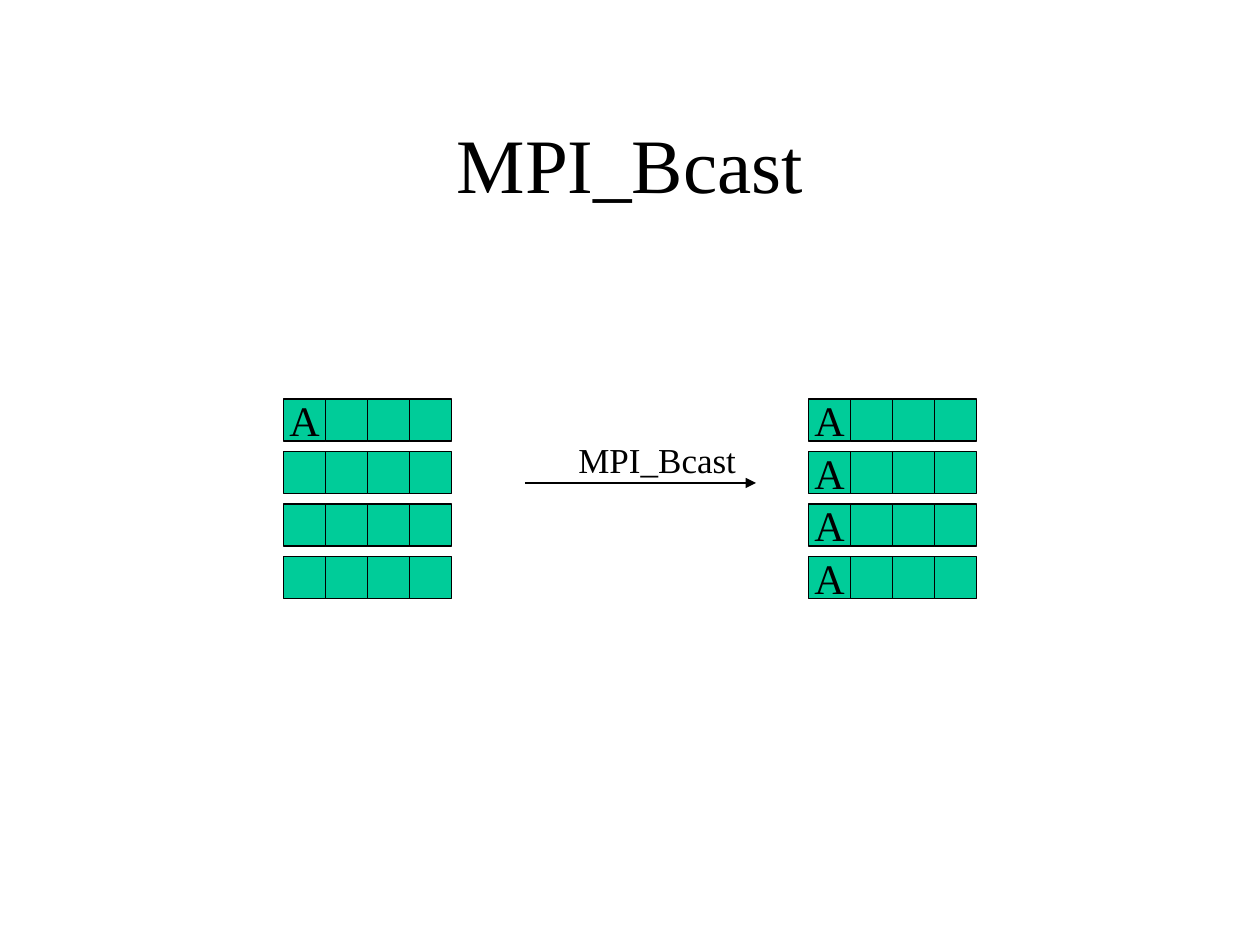
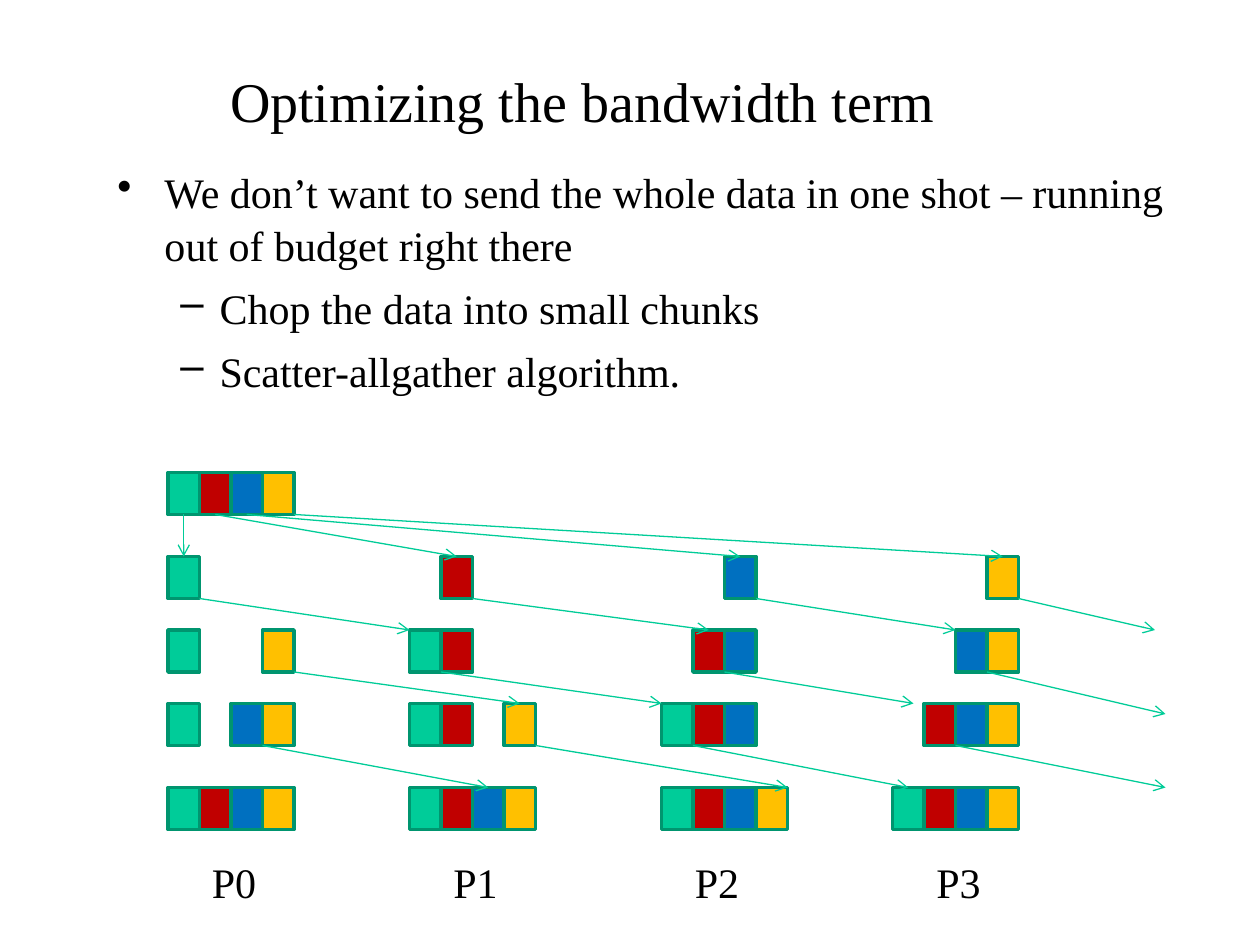
from lxml.etree import SubElement
from pptx import Presentation
from pptx.dml.color import RGBColor
from pptx.enum.shapes import MSO_CONNECTOR as Connector, MSO_SHAPE as Shape
from pptx.enum.text import MSO_ANCHOR as Anchor, PP_ALIGN as Align
from pptx.oxml.ns import qn
from pptx.util import Cm, Pt

FONT = "Times New Roman"
BLACK = RGBColor(0x00, 0x00, 0x00)
GREEN = RGBColor(0x00, 0xCC, 0x99)
RED = RGBColor(0xC0, 0x00, 0x00)
BLUE = RGBColor(0x00, 0x70, 0xC0)
YELLOW = RGBColor(0xFF, 0xC0, 0x00)
CHUNK_BORDER = RGBColor(0x00, 0x95, 0x6F)
ARROW_GREEN = RGBColor(0x00, 0xCC, 0x98)

# All places below count grid steps; twelve steps make 2.54 cm.
BUFFERS = [
    (27, ["A", "", "", ""]),
    (77, ["A", "A", "A", "A"]),
]
BUFFER_TOP, BUFFER_PITCH, CELL, CELLS_PER_BUFFER = 38, 5, 4, 4

BULLETS = [
    (0, "We don’t want to send the whole data in one shot – running out of budget right there"),
    (1, "Chop the data into small chunks"),
    (1, "Scatter-allgather algorithm."),
]
BULLET_STYLES = [("•", Cm(0.95), Cm(-0.95)), ("–", Cm(2.06), Cm(-0.79))]

CHUNK_COLOURS = {"G": GREEN, "R": RED, "B": BLUE, "Y": YELLOW}
CHUNK_ORDER = "GRBY"
CHUNK_WIDTH, CHUNK_HEIGHT = 3, 4
PROCESS_LEFTS = [16, 39, 63, 85]
STEPS = [
    (45, ["GRBY", "", "", ""]),
    (53, ["G", "R", "B", "Y"]),
    (60, ["GY", "GR", "RB", "BY"]),
    (67, ["GBY", "GRY", "GRB", "RBY"]),
    (75, ["GRBY", "GRBY", "GRBY", "GRBY"]),
]
SENDS = [
    [(17.5, 17.5, 53), (20.5, 43.5, 53), (23.5, 70.5, 53), (28, 95.5, 53)],
    [(19, 39, 60), (45, 67.5, 60), (72, 91, 60), (97, 110, 60)],
    [(28, 49.5, 67), (42, 63, 67), (69, 87, 67), (94, 111, 68)],
    [(25, 46.5, 75), (51, 75, 75), (66, 86.5, 75), (91, 111, 75)],
]


def grid(steps):
    return Cm(2.54 * steps / 12)


def format_runs(paragraph, size):
    for run in paragraph.runs:
        run.font.name = FONT
        run.font.size = Pt(size)
        run.font.color.rgb = BLACK


def add_text(slide, text, box, size, wrap=False):
    shape = slide.shapes.add_textbox(*map(grid, box))
    frame = shape.text_frame
    frame.word_wrap = wrap
    frame.text = text
    format_runs(frame.paragraphs[0], size)
    return frame


def add_title(slide, text, box, size):
    frame = add_text(slide, text, box, size, wrap=True)
    frame.vertical_anchor = Anchor.MIDDLE
    frame.paragraphs[0].alignment = Align.CENTER


def add_bullets(slide, box):
    frame = add_text(slide, "\n".join(text for _, text in BULLETS), box, 24, wrap=True)
    for paragraph, (level, _) in zip(frame.paragraphs, BULLETS):
        character, margin, indent = BULLET_STYLES[level]
        format_runs(paragraph, 24)
        paragraph.level = level
        paragraph.space_before = Pt(6)
        paragraph.line_spacing = 1.05
        properties = paragraph._p.get_or_add_pPr()
        properties.set("marL", str(margin))
        properties.set("indent", str(indent))
        SubElement(properties, qn("a:buChar")).set("char", character)


def add_block(slide, box, fill, border, border_width, text=""):
    shape = slide.shapes.add_shape(Shape.RECTANGLE, *map(grid, box))
    shape.shadow.inherit = False
    shape.fill.solid()
    shape.fill.fore_color.rgb = fill
    shape.line.color.rgb = border
    shape.line.width = Pt(border_width)
    if text:
        frame = shape.text_frame
        frame.word_wrap = False
        frame.vertical_anchor = Anchor.MIDDLE
        frame.text = text
        frame.paragraphs[0].alignment = Align.CENTER
        format_runs(frame.paragraphs[0], 24)
    return shape


def add_arrow(slide, start, end, colour, width, head):
    connector = slide.shapes.add_connector(Connector.STRAIGHT, *map(grid, start + end))
    connector.line.color.rgb = colour
    connector.line.width = Pt(width)
    SubElement(connector.line._get_or_add_ln(), qn("a:tailEnd")).set("type", head)
    SubElement(connector._element.spPr, qn("a:effectLst"))
    return connector


def build_broadcast(slide):
    add_title(slide, "MPI_Bcast", (9, 8, 102, 15), 44)
    for left, labels in BUFFERS:
        for row, label in enumerate(labels):
            for column in range(CELLS_PER_BUFFER):
                box = (left + column * CELL, BUFFER_TOP + row * BUFFER_PITCH, CELL, CELL)
                add_block(slide, box, GREEN, BLACK, 1, "" if column else label)
    add_arrow(slide, (50, 46), (72, 46), BLACK, 1, "triangle")
    add_text(slide, "MPI_Bcast", (53.9, 41.2, 17.4, 5.3), 20)


def build_scatter_allgather(slide):
    add_title(slide, "Optimizing the bandwidth term", (19, 5, 73, 9), 32)
    add_bullets(slide, (10, 15, 102, 23))

    joints = {}
    for top, holdings in STEPS:
        for process_left, chunks in zip(PROCESS_LEFTS, holdings):
            for chunk in chunks:
                left = process_left + CHUNK_ORDER.index(chunk) * CHUNK_WIDTH
                box = (left, top, CHUNK_WIDTH, CHUNK_HEIGHT)
                shape = add_block(slide, box, CHUNK_COLOURS[chunk], CHUNK_BORDER, 2)
                middle = left + CHUNK_WIDTH / 2
                joints[middle, top] = (shape, 0)
                joints[middle, top + CHUNK_HEIGHT] = (shape, 2)

    for (top, _), sends in zip(STEPS, SENDS):
        for start_x, end_x, end_y in sends:
            start, end = (start_x, top + CHUNK_HEIGHT), (end_x, end_y)
            arrow = add_arrow(slide, start, end, ARROW_GREEN, 0.75, "arrow")
            if start in joints:
                arrow.begin_connect(*joints[start])
            if end in joints:
                arrow.end_connect(*joints[end])

    for process in range(len(PROCESS_LEFTS)):
        add_text(slide, f"P{process}", (19 + 23 * process, 81, 6.6, 6), 24)


def main():
    presentation = Presentation()
    presentation.slide_width = Cm(25.4)
    presentation.slide_height = Cm(19.05)
    blank = presentation.slide_layouts[6]
    for build in (build_broadcast, build_scatter_allgather):
        build(presentation.slides.add_slide(blank))
    presentation.save("out.pptx")


if __name__ == "__main__":
    main()
